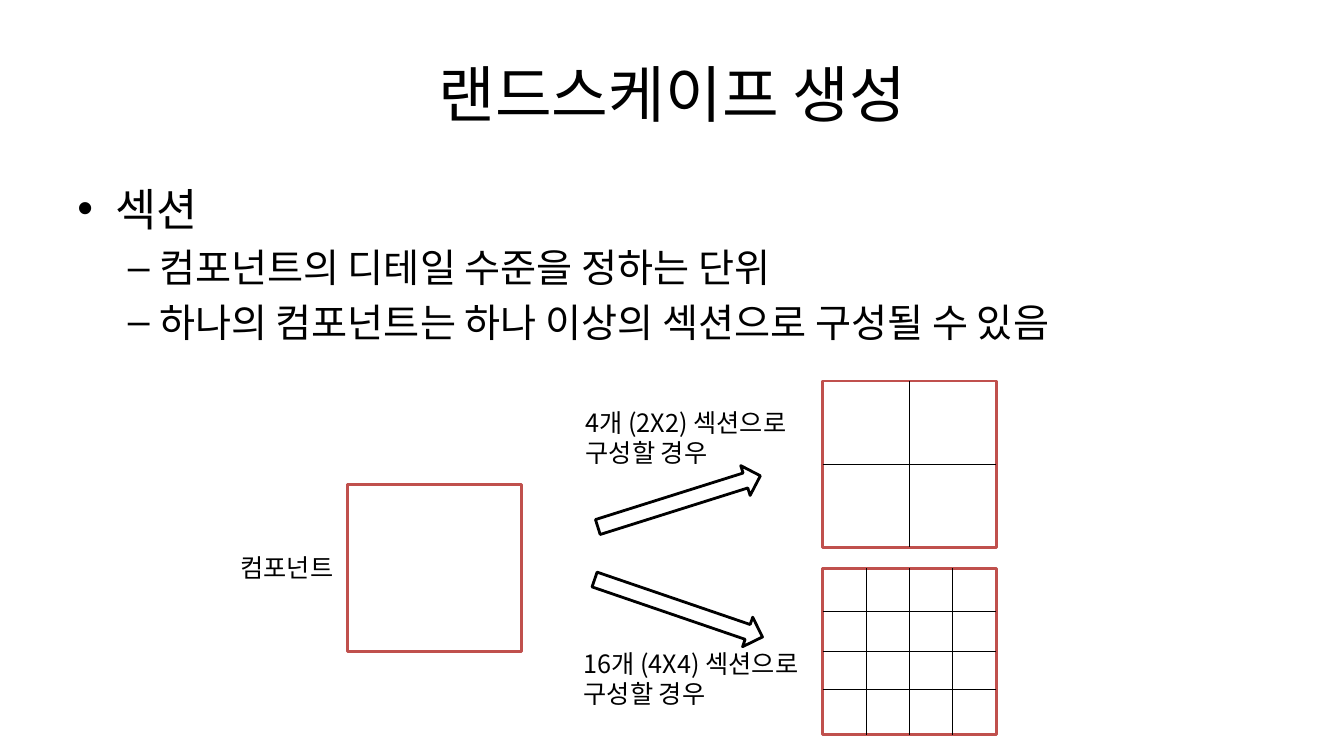
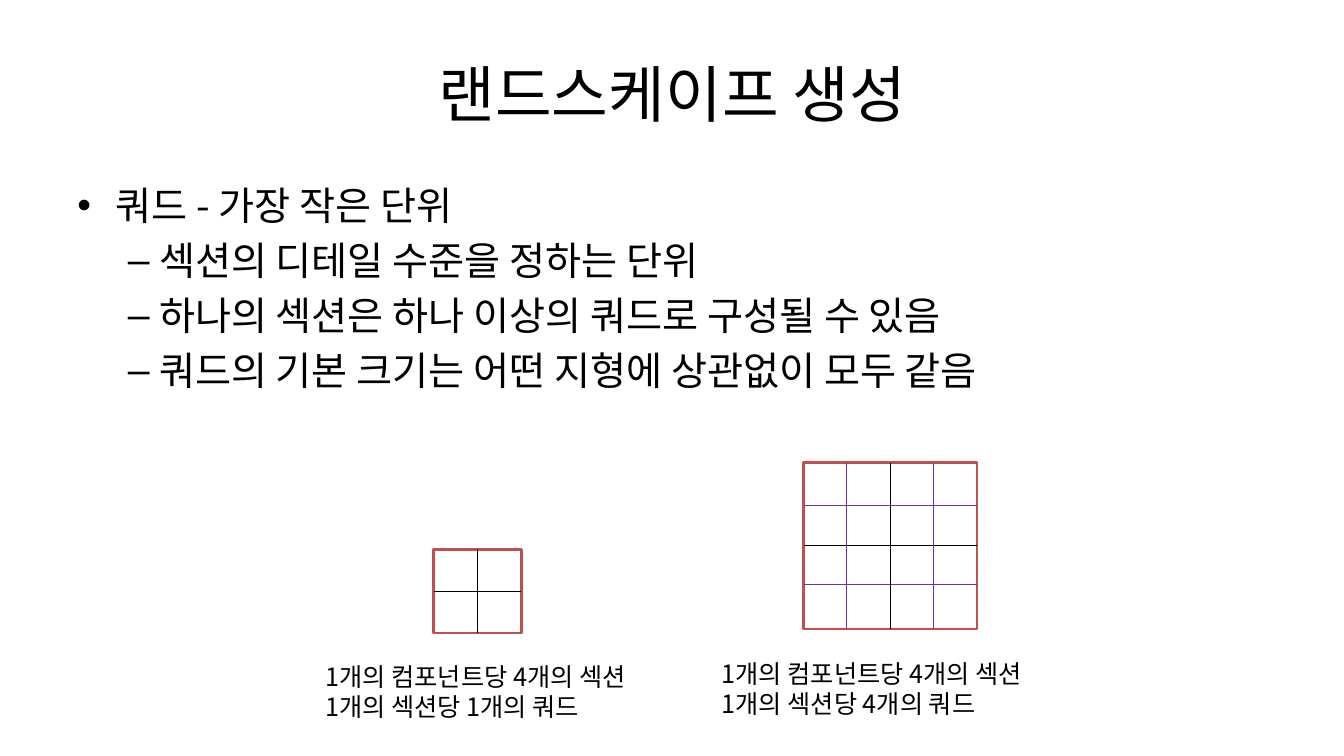
from dataclasses import dataclass
from typing import Optional

from lxml import etree
from pptx import Presentation
from pptx.dml.color import RGBColor
from pptx.enum import shapes, text
from pptx.oxml import ns
from pptx.util import Inches, Pt


@dataclass(frozen=True)
class Theme:
    font: str = "Noto Sans CJK KR"
    ink: str = "000000"
    paper: str = "FFFFFF"
    section: str = "C0504D"
    quad: str = "7030A0"
    title_size: int = 44
    topic_size: int = 32
    body_size: int = 28
    label_size: int = 18
    outline: float = 2
    hairline: float = 0.75


THEME = Theme()


@dataclass(frozen=True)
class Area:
    left: float
    top: float
    width: float
    height: float


@dataclass(frozen=True)
class Bullet:
    char: str
    margin: float
    hang: float


@dataclass(frozen=True)
class Line:
    words: str
    size: int = THEME.label_size
    bullet: Optional[Bullet] = None


@dataclass(frozen=True)
class Label:
    area: Area
    lines: tuple[str, ...]
    centered: bool = False


@dataclass(frozen=True)
class Divider:
    fraction: float
    color: str = THEME.ink


@dataclass(frozen=True)
class Grid:
    area: Area
    columns: tuple[Divider, ...] = ()
    rows: tuple[Divider, ...] = ()


@dataclass(frozen=True)
class Arrow:
    area: Area
    angle: float


@dataclass(frozen=True)
class Content:
    body: tuple[Line, ...]
    grids: tuple[Grid, ...]
    labels: tuple[Label, ...]
    arrows: tuple[Arrow, ...] = ()


TITLE = "랜드스케이프 생성"
TITLE_AREA = Area(0.67, 0.3, 12, 1.25)
BODY_AREA = Area(0.67, 1.75, 12, 4.95)
DOT = Bullet("•", 0.38, 0.38)
DASH = Bullet("–", 0.81, 0.31)
SIDE, RISE = 1.72, 1.65
HALF = (Divider(0.5),)


def quarters(fractions: tuple[float, ...], color: str) -> tuple[Divider, ...]:
    return HALF + tuple(Divider(fraction, color) for fraction in fractions)


def four_by_four(left: float, top: float, color: str) -> Grid:
    return Grid(Area(left, top, SIDE, RISE),
                quarters((0.25, 0.75), color), quarters((0.26, 0.73), color))


def place(area: Area) -> tuple[int, int, int, int]:
    return (Inches(area.left), Inches(area.top),
            Inches(area.width), Inches(area.height))


def add_tag(parent, tag: str, **attributes: str):
    return etree.SubElement(parent, ns.qn(tag), **attributes)


def set_bullet(para, bullet: Bullet) -> None:
    properties = para._p.get_or_add_pPr()
    properties.set("marL", str(Inches(bullet.margin)))
    properties.set("indent", str(-Inches(bullet.hang)))
    add_tag(add_tag(properties, "a:spcBef"), "a:spcPct", val="20000")
    add_tag(properties, "a:buFont", typeface="Arial")
    add_tag(properties, "a:buChar", char=bullet.char)


def add_text(page, area: Area, lines: tuple[Line, ...], centered: bool = False,
             wrap: bool = True, anchor=text.MSO_ANCHOR.TOP) -> None:
    frame = page.shapes.add_textbox(*place(area)).text_frame
    frame.word_wrap = wrap
    frame.vertical_anchor = anchor
    frame.text = "\n".join(line.words for line in lines)
    for para, line in zip(frame.paragraphs, lines):
        para.alignment = text.PP_ALIGN.CENTER if centered else text.PP_ALIGN.LEFT
        if line.bullet:
            set_bullet(para, line.bullet)
        for span in para.runs:
            span.font.size = Pt(line.size)
            span.font.color.rgb = RGBColor.from_string(THEME.ink)
            span.font.name = THEME.font
            add_tag(span.font._element, "a:ea", typeface=THEME.font)


def add_outline(page, kind, area: Area, color: str):
    shape = page.shapes.add_shape(kind, *place(area))
    shape.shadow.inherit = False
    shape.fill.solid()
    shape.fill.fore_color.rgb = RGBColor.from_string(THEME.paper)
    shape.line.color.rgb = RGBColor.from_string(color)
    shape.line.width = Pt(THEME.outline)
    return shape


def add_divider(page, left: float, top: float, right: float, bottom: float,
                color: str) -> None:
    connector = page.shapes.add_connector(
        shapes.MSO_CONNECTOR.STRAIGHT,
        Inches(left), Inches(top), Inches(right), Inches(bottom))
    connector.line.color.rgb = RGBColor.from_string(color)
    connector.line.width = Pt(THEME.hairline)
    add_tag(connector._element.spPr, "a:effectLst")


def add_grid(page, grid: Grid) -> None:
    area = grid.area
    add_outline(page, shapes.MSO_SHAPE.RECTANGLE, area, THEME.section)
    for row in grid.rows:
        y = area.top + area.height * row.fraction
        add_divider(page, area.left, y, area.left + area.width, y, row.color)
    for column in grid.columns:
        x = area.left + area.width * column.fraction
        add_divider(page, x, area.top, x, area.top + area.height, column.color)


def add_page(deck, content: Content) -> None:
    page = deck.slides.add_slide(deck.slide_layouts[6])
    add_text(page, TITLE_AREA, (Line(TITLE, THEME.title_size),),
             centered=True, anchor=text.MSO_ANCHOR.MIDDLE)
    add_text(page, BODY_AREA, content.body)
    for grid in content.grids:
        add_grid(page, grid)
    for arrow in content.arrows:
        shape = add_outline(page, shapes.MSO_SHAPE.RIGHT_ARROW, arrow.area, THEME.ink)
        shape.rotation = arrow.angle
    for label in content.labels:
        add_text(page, label.area, tuple(Line(words) for words in label.lines),
                 centered=label.centered, wrap=not label.centered)


SECTIONS = Content(
    body=(
        Line("섹션", THEME.topic_size, DOT),
        Line("컴포넌트의 디테일 수준을 정하는 단위", THEME.body_size, DASH),
        Line("하나의 컴포넌트는 하나 이상의 섹션으로 구성될 수 있음",
             THEME.body_size, DASH),
    ),
    grids=(
        Grid(Area(3.45, 4.81, SIDE, RISE)),
        Grid(Area(8.16, 3.78, SIDE, RISE), HALF, HALF),
        four_by_four(8.16, 5.64, THEME.ink),
    ),
    arrows=(
        Arrow(Area(5.89, 4.82, 1.69, 0.31), 342.5),
        Arrow(Area(5.85, 5.88, 1.76, 0.31), 18.9),
    ),
    labels=(
        Label(Area(2.24, 5.43, 1.21, 0.4), ("컴포넌트",), centered=True),
        Label(Area(5.71, 3.99, 2.39, 0.71), ("4개 (2X2) 섹션으로 구성할 경우",)),
        Label(Area(5.69, 6.38, 2.55, 0.71), ("16개 (4X4) 섹션으로 구성할 경우",)),
    ),
)

QUADS = Content(
    body=(
        Line("쿼드 - 가장 작은 단위", THEME.body_size, DOT),
        Line("섹션의 디테일 수준을 정하는 단위", THEME.body_size, DASH),
        Line("하나의 섹션은 하나 이상의 쿼드로 구성될 수 있음", THEME.body_size, DASH),
        Line("쿼드의 기본 크기는 어떤 지형에 상관없이 모두 같음",
             THEME.body_size, DASH),
    ),
    grids=(
        Grid(Area(4.3, 5.45, 0.87, 0.83), HALF, HALF),
        four_by_four(7.97, 4.59, THEME.quad),
    ),
    labels=(
        Label(Area(3.13, 6.51, 3.54, 0.71),
              ("1개의 컴포넌트당 4개의 섹션", "1개의 섹션당 1개의 쿼드")),
        Label(Area(7.06, 6.48, 3.54, 0.71),
              ("1개의 컴포넌트당 4개의 섹션", "1개의 섹션당 4개의 쿼드")),
    ),
)


def main() -> None:
    deck = Presentation()
    deck.slide_width, deck.slide_height = Inches(13.33), Inches(7.5)
    for content in (SECTIONS, QUADS):
        add_page(deck, content)
    deck.save("out.pptx")


main()
